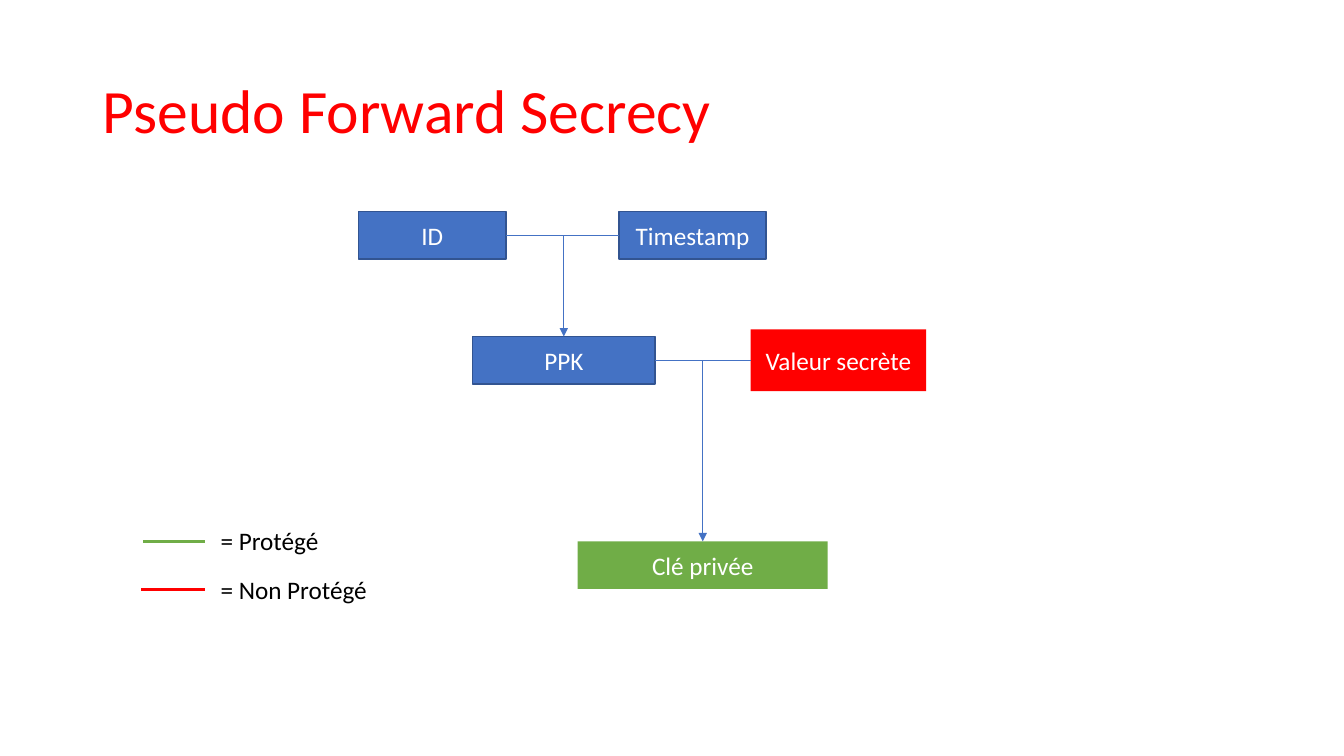
from dataclasses import dataclass

from lxml import etree
from pptx import Presentation
from pptx.dml.color import RGBColor
from pptx.enum.shapes import MSO_CONNECTOR, MSO_SHAPE
from pptx.enum.text import MSO_ANCHOR, MSO_AUTO_SIZE, PP_ALIGN
from pptx.oxml.ns import qn
from pptx.util import Cm, Pt

RECTANGLE = MSO_SHAPE.RECTANGLE
STRAIGHT = MSO_CONNECTOR.STRAIGHT
MIDDLE = MSO_ANCHOR.MIDDLE
LEFT = PP_ALIGN.LEFT
CENTER = PP_ALIGN.CENTER
FIT_SHAPE = MSO_AUTO_SIZE.SHAPE_TO_FIT_TEXT
TITLE_ONLY = 5
TOP_SITE, LEFT_SITE, RIGHT_SITE = 0, 1, 3


@dataclass(frozen=True)
class Theme:
    font: str = "Calibri"
    title_size: Pt = Pt(44)
    body_size: Pt = Pt(18)
    border_width: Pt = Pt(1)
    link_width: Pt = Pt(0.5)
    legend_width: Pt = Pt(2.25)
    blue: RGBColor = RGBColor(0x44, 0x72, 0xC4)
    border: RGBColor = RGBColor(0x32, 0x54, 0x91)
    unprotected: RGBColor = RGBColor(0xFF, 0x00, 0x00)
    protected: RGBColor = RGBColor(0x70, 0xAD, 0x47)
    white: RGBColor = RGBColor(0xFF, 0xFF, 0xFF)
    black: RGBColor = RGBColor(0x00, 0x00, 0x00)


THEME = Theme()


def write_text(text_frame, text, size, color, alignment=LEFT):
    text_frame.text = text
    paragraph = text_frame.paragraphs[0]
    paragraph.alignment = alignment
    font = paragraph.runs[0].font
    font.name = THEME.font
    font.size = size
    font.color.rgb = color
    return paragraph


def set_title(slide, text):
    title = slide.shapes.title
    title.left, title.top = Cm(2.33), Cm(1.01)
    title.width, title.height = Cm(29.21), Cm(3.68)
    title.text_frame.vertical_anchor = MIDDLE
    paragraph = write_text(title.text_frame, text, THEME.title_size, THEME.unprotected)
    paragraph.line_spacing = 0.9


def add_box(slide, text, left, top, width, height=1.2, fill=THEME.blue):
    shape = slide.shapes.add_shape(RECTANGLE, Cm(left), Cm(top), Cm(width), Cm(height))
    shape.shadow.inherit = False
    shape.fill.solid()
    shape.fill.fore_color.rgb = fill
    if fill == THEME.blue:
        shape.line.color.rgb = THEME.border
        shape.line.width = THEME.border_width
    else:
        shape.line.fill.background()
    shape.text_frame.word_wrap = True
    shape.text_frame.vertical_anchor = MIDDLE
    write_text(shape.text_frame, text, THEME.body_size, THEME.white, CENTER)
    return shape


def add_line(slide, start, end, color=THEME.blue, width=THEME.link_width):
    line = slide.shapes.add_connector(STRAIGHT, *start, *end)
    line.line.color.rgb = color
    line.line.width = width
    etree.SubElement(line._element.spPr, qn("a:effectLst"))
    return line


def add_arrowhead(line):
    outline = line.line._get_or_add_ln()
    etree.SubElement(outline, qn("a:tailEnd"), type="triangle")


def combine(slide, first, second, result):
    joint_y = first.top + first.height // 2
    joint_x = result.left + result.width // 2
    link = add_line(slide, (first.left + first.width, joint_y), (second.left, joint_y))
    link.begin_connect(first, RIGHT_SITE)
    link.end_connect(second, LEFT_SITE)
    arrow = add_line(slide, (joint_x, joint_y), (joint_x, result.top))
    arrow.end_connect(result, TOP_SITE)
    add_arrowhead(arrow)


def add_legend_entry(slide, text, color, line_left, line_y, text_width):
    add_line(slide, (Cm(line_left), Cm(line_y)), (Cm(5.16), Cm(line_y)),
             color, THEME.legend_width)
    label = slide.shapes.add_textbox(Cm(5.31), Cm(line_y - 0.52), Cm(text_width), Cm(1.02))
    label.text_frame.word_wrap = True
    label.text_frame.auto_size = FIT_SHAPE
    write_text(label.text_frame, text, THEME.body_size, THEME.black)


def main():
    presentation = Presentation()
    presentation.slide_width = Cm(33.87)
    presentation.slide_height = Cm(19.05)
    slide = presentation.slides.add_slide(presentation.slide_layouts[TITLE_ONLY])
    set_title(slide, "Pseudo Forward Secrecy")

    private_key = add_box(slide, "Clé privée", 14.56, 13.64, 6.3, fill=THEME.protected)
    identifier = add_box(slide, "ID", 9.04, 5.33, 3.71)
    timestamp = add_box(slide, "Timestamp", 15.6, 5.33, 3.71)
    secret = add_box(slide, "Valeur secrète", 18.92, 8.3, 4.42, 1.56, THEME.unprotected)
    ppk = add_box(slide, "PPK", 11.91, 8.48, 4.6)

    combine(slide, identifier, timestamp, ppk)
    combine(slide, ppk, secret, private_key)

    add_legend_entry(slide, "= Protégé", THEME.protected, 3.61, 13.64, 3.15)
    add_legend_entry(slide, "= Non Protégé", THEME.unprotected, 3.56, 14.86, 4.57)

    presentation.save("out.pptx")


if __name__ == "__main__":
    main()
